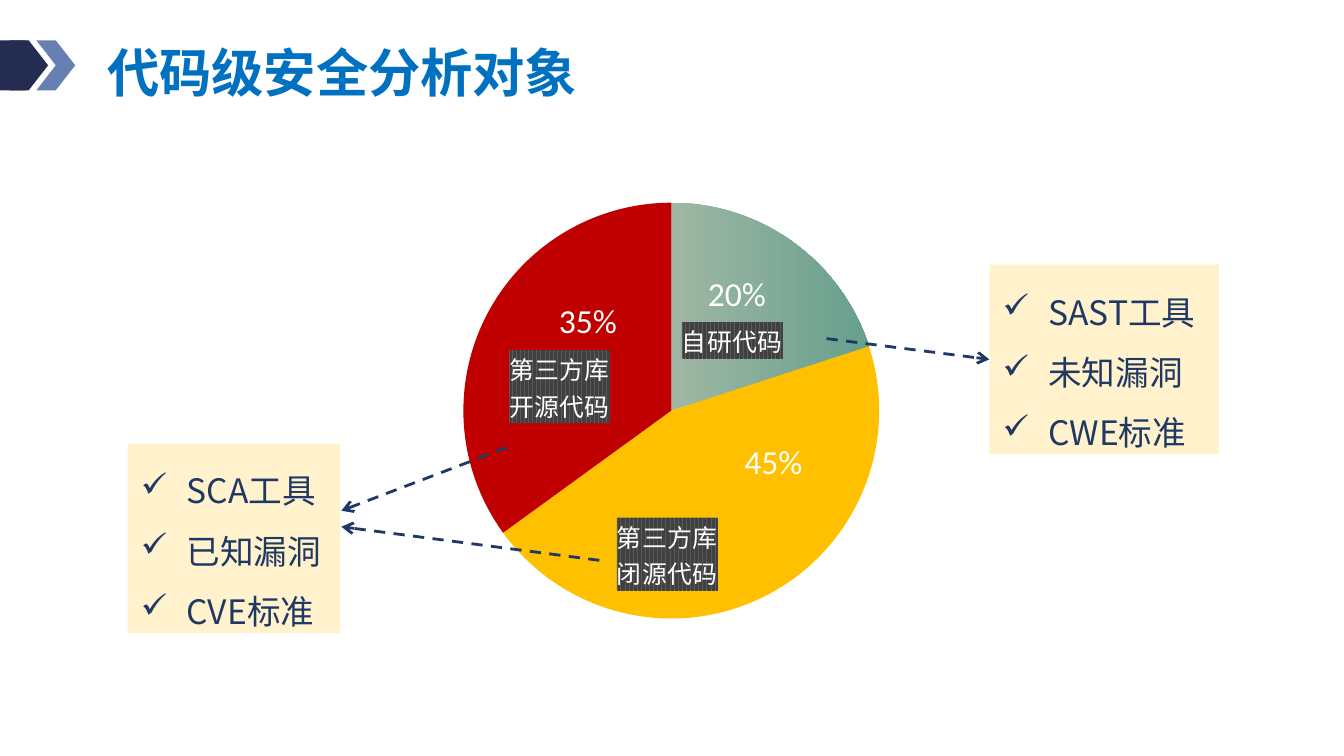
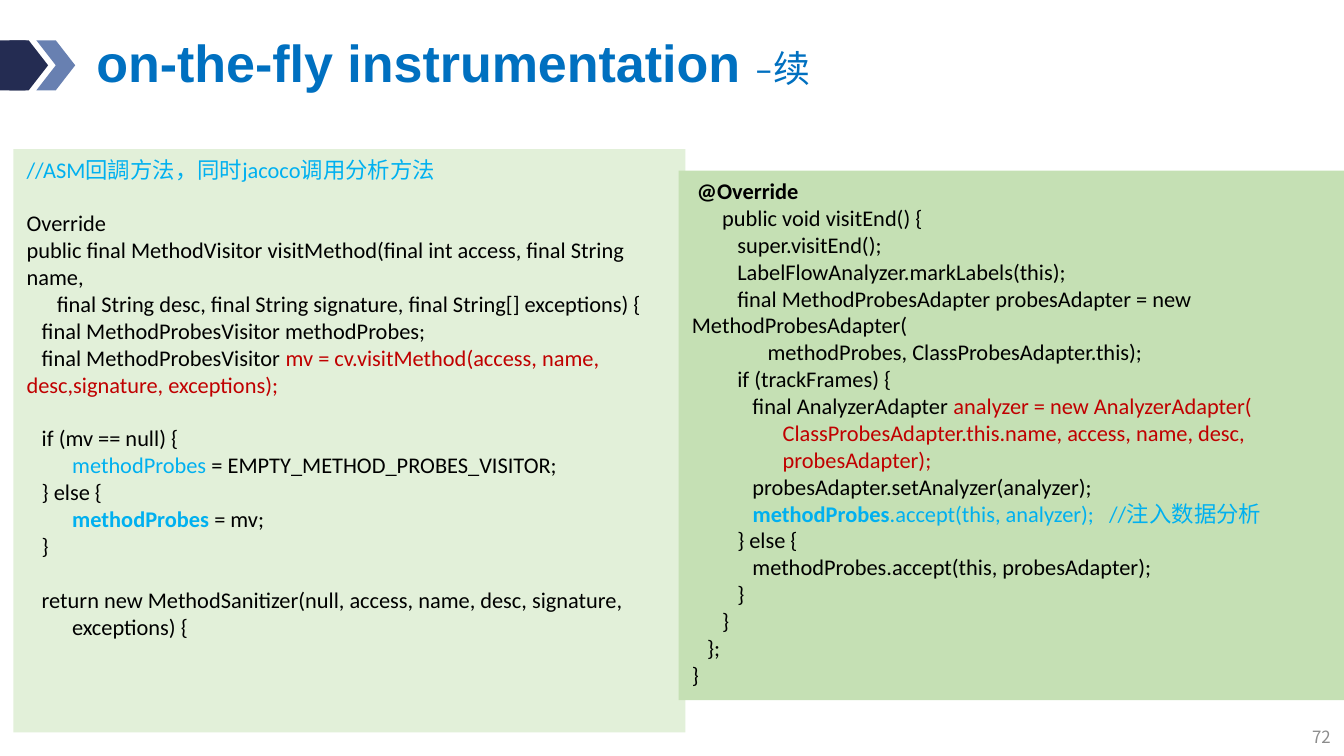
from dataclasses import dataclass

from lxml.etree import SubElement
from pptx import Presentation
from pptx.chart.data import CategoryChartData
from pptx.dml.color import RGBColor
from pptx.enum.chart import XL_CHART_TYPE, XL_LABEL_POSITION
from pptx.enum.dml import MSO_LINE
from pptx.enum.shapes import MSO_CONNECTOR, MSO_SHAPE
from pptx.enum.text import MSO_ANCHOR, PP_ALIGN
from pptx.oxml import parse_xml
from pptx.oxml.ns import nsdecls, qn
from pptx.util import Pt

NAVY, STEEL, TITLE_BLUE, INK = "242C52", "6880B1", "0070C0", "203864"
WHITE, BLACK, GREY, CREAM = "FFFFFF", "000000", "8C8C8C", "FFF2CC"
RED, CYAN, YELLOW = "C00000", "00B0F0", "FFC000"
LIGHT_GREEN, MID_GREEN = "E2F0D9", "C5E0B4"
CJK, LATIN, HEADING = "Noto Sans CJK SC", "Calibri", "Arial"
CODE_LINE = 14.4
ANALYSIS_TITLE = "代码级安全分析对象"


@dataclass(frozen=True)
class Area:
    left: float
    top: float
    width: float
    height: float

    def lengths(self) -> tuple:
        return Pt(self.left), Pt(self.top), Pt(self.width), Pt(self.height)


@dataclass(frozen=True)
class Span:
    text: str
    color: str = BLACK
    bold: bool = False
    size: float = 12
    font: str = LATIN


@dataclass(frozen=True)
class Line:
    spans: tuple
    gap: float = 0


@dataclass(frozen=True)
class Slice:
    label: tuple
    value: int
    shift: tuple
    percent_at: tuple
    color: str = ""


@dataclass(frozen=True)
class Arrow:
    start: tuple
    end: tuple


def rgb(color: str) -> RGBColor:
    return RGBColor.from_string(color)


def add_span(para, span: Span) -> None:
    run = para.add_run()
    run.text = span.text
    run.font.name = span.font
    run.font.size = Pt(span.size)
    run.font.bold = span.bold
    run.font.color.rgb = rgb(span.color)
    SubElement(run.font._element, qn("a:ea"), typeface=CJK)


def write(box, lines, anchor=MSO_ANCHOR.TOP, align=PP_ALIGN.LEFT,
          spacing: float = 1.0, bullet: str = "") -> None:
    frame = box.text_frame
    frame.word_wrap = True
    frame.vertical_anchor = anchor
    for index, line in enumerate(lines):
        para = frame.add_paragraph() if index else frame.paragraphs[0]
        para.alignment = align
        para.line_spacing = spacing
        if line.gap:
            para.space_before = Pt(line.gap)
        if bullet:
            properties = para._p.get_or_add_pPr()
            properties.set("marL", str(Pt(24.5)))
            properties.set("indent", str(-Pt(24.5)))
            SubElement(properties, qn("a:buChar"), char=bullet)
        for span in line.spans:
            add_span(para, span)


def add_block(page, kind, area: Area, color: str):
    block = page.shapes.add_shape(kind, *area.lengths())
    block.shadow.inherit = False
    block.fill.solid()
    block.fill.fore_color.rgb = rgb(color)
    block.line.fill.background()
    return block


def add_text(page, area: Area, spans, **options) -> None:
    write(page.shapes.add_textbox(*area.lengths()), [Line(spans)], **options)


def add_page(deck, title_area: Area, title):
    """Add a blank page with the shared corner marker and title style."""
    page = deck.slides.add_slide(deck.slide_layouts[6])
    bar = add_block(page, MSO_SHAPE.ROUNDED_RECTANGLE, Area(-9.4, 21.6, 25.2, 26.8), NAVY)
    bar.adjustments[0] = 0.1
    for left, color in ((19.5, STEEL), (5, NAVY)):
        add_block(page, MSO_SHAPE.CHEVRON, Area(left, 21.6, 20.8, 26.8), color)
    add_text(page, title_area, title, anchor=MSO_ANCHOR.MIDDLE, spacing=0.9)
    return page


def add_checklist(page, area: Area, items):
    box = add_block(page, MSO_SHAPE.RECTANGLE, area, CREAM)
    lines = [Line((Span(item, INK, size=18, font=CJK),)) for item in items]
    write(box, lines, spacing=1.5, bullet="✓")
    return box


def add_arrow(page, arrow: Arrow):
    connector = page.shapes.add_connector(
        MSO_CONNECTOR.STRAIGHT, *(Pt(value) for value in arrow.start + arrow.end))
    connector.line.color.rgb = rgb(INK)
    connector.line.width = Pt(1.5)
    connector.line.dash_style = MSO_LINE.DASH
    SubElement(connector.line._get_or_add_ln(), qn("a:tailEnd"), type="arrow")
    SubElement(connector._element.spPr, qn("a:effectLst"))
    return connector


def label_slice(point, part: Slice) -> None:
    """Write the slice's own label on a striped dark ground, moved off its centre."""
    label = point.data_label
    frame = label.text_frame
    for index, text in enumerate(part.label):
        para = frame.add_paragraph() if index else frame.paragraphs[0]
        add_span(para, Span(text, WHITE, size=13.3))
    label.position = XL_LABEL_POSITION.CENTER
    element = label._get_or_add_dLbl()
    rich_text = element.find(qn("c:tx"))
    x, y = part.shift
    rich_text.addprevious(parse_xml(
        f'<c:layout {nsdecls("c")}><c:manualLayout>'
        f'<c:x val="{x}"/><c:y val="{y}"/></c:manualLayout></c:layout>'))
    rich_text.addnext(parse_xml(
        f'<c:spPr {nsdecls("c", "a")}><a:pattFill prst="dkVert">'
        '<a:fgClr><a:srgbClr val="404040"/></a:fgClr>'
        '<a:bgClr><a:srgbClr val="595959"/></a:bgClr></a:pattFill></c:spPr>'))


def add_pie(page, area: Area, parts) -> None:
    data = CategoryChartData(number_format="General")
    data.categories = ["".join(part.label) for part in parts]
    data.add_series(ANALYSIS_TITLE, [part.value for part in parts])
    chart = page.shapes.add_chart(XL_CHART_TYPE.PIE, *area.lengths(), data).chart
    chart.has_legend = False
    chart.has_title = False
    chart.font.name = LATIN
    chart.font.size = Pt(10)
    chart.font.color.rgb = rgb(BLACK)
    plot = chart.plots[0]
    plot.vary_by_categories = True
    plot_area = chart._chartSpace.chart.plotArea
    for layout in plot_area.findall(qn("c:layout")):
        plot_area.remove(layout)
    plot_area.insert(0, parse_xml(
        f'<c:layout {nsdecls("c")}><c:manualLayout><c:layoutTarget val="inner"/>'
        '<c:xMode val="edge"/><c:yMode val="edge"/><c:x val="0.17"/><c:y val="0"/>'
        '<c:w val="0.65"/><c:h val="0.92"/></c:manualLayout></c:layout>'))
    for index, part in enumerate(parts):
        point = plot.series[0].points[index]
        fill = point.format.fill
        if part.color:
            fill.solid()
            fill.fore_color.rgb = rgb(part.color)
        else:
            fill.gradient()
            fill.gradient_angle = 0
            stops = zip(fill.gradient_stops, ((0, "A0B7A5"), (0.94, "6AA18E")))
            for stop, (position, color) in stops:
                stop.position = position
                stop.color.rgb = rgb(color)
        label_slice(point, part)


def build_analysis_page(deck) -> None:
    page = add_page(deck, Area(50.4, 20.2, 540.7, 41),
                    (Span(ANALYSIS_TITLE, TITLE_BLUE, True, 28, CJK),))
    parts = (
        Slice(("自研代码",), 20, (0, 0.03), (372.2, 142.6)),
        Slice(("第三方库", "闭源代码"), 45, (-0.08, 0.11), (391.7, 232.6), YELLOW),
        Slice(("第三方库", "开源代码"), 35, (-0.03, 0.05), (292.3, 157), RED),
    )
    add_pie(page, Area(190, 105.8, 342.7, 248.4), parts)
    for part in parts:
        add_text(page, Area(*part.percent_at, 50.4, 28.8),
                 (Span(f"{part.value}%", WHITE, size=18),))
    own_code = add_checklist(page, Area(530, 141.8, 123, 101.5),
                             ("SAST工具", "未知漏洞", "CWE标准"))
    add_checklist(page, Area(68.4, 237.6, 113.8, 101.5),
                  ("SCA工具", "已知漏洞", "CVE标准"))
    to_own_code = add_arrow(page, Arrow((442.8, 181.4), (530, 192.6)))
    to_own_code.end_connect(own_code, 1)
    for arrow in (Arrow((271.4, 239.8), (182.9, 273.6)),
                  Arrow((321.1, 300.2), (182.9, 282.2))):
        add_arrow(page, arrow)


def code(*spans, gap: float = 0) -> Line:
    """Make a code line; plain strings become black spans."""
    return Line(tuple(Span(span) if isinstance(span, str) else span for span in spans), gap)


VISIT_METHOD = (
    code(Span("//ASM回調方法，同时jacoco调用分析方法", CYAN)),
    code("Override", gap=CODE_LINE),
    code("public final MethodVisitor visitMethod(final int access, final String name,"),
    code("      final String desc, final String signature, final String[] exceptions) {"),
    code("   final MethodProbesVisitor methodProbes;"),
    code("   final MethodProbesVisitor ",
         Span("mv = cv.visitMethod(access, name, desc,signature, exceptions);", RED)),
    code("   if (mv == null) {", gap=CODE_LINE),
    code("         ", Span("methodProbes", CYAN), " = EMPTY_METHOD_PROBES_VISITOR;"),
    code("   } else {"),
    code("         ", Span("methodProbes", CYAN, True), " = mv;"),
    code("   }"),
    code("   return new MethodSanitizer(null, access, name, desc, signature,", gap=CODE_LINE),
    code("         exceptions) {"),
)
VISIT_END = (
    code(Span(" @Override", bold=True)),
    code("      public void visitEnd() {"),
    code("         super.visitEnd();"),
    code("         LabelFlowAnalyzer.markLabels(this);"),
    code("         final MethodProbesAdapter probesAdapter = new MethodProbesAdapter("),
    code("               methodProbes, ClassProbesAdapter.this);"),
    code("         if (trackFrames) {"),
    code("            final AnalyzerAdapter ", Span("analyzer = new AnalyzerAdapter(", RED)),
    code(Span("                  ClassProbesAdapter.this.name, access, name, desc,", RED)),
    code(Span("                  probesAdapter);", RED)),
    code("            probesAdapter.setAnalyzer(analyzer);"),
    code("            ", Span("methodProbes", CYAN, True),
         Span(".accept(this, analyzer);   //注入数据分析", CYAN)),
    code("         } else {"),
    code("            methodProbes.accept(this, probesAdapter);"),
    code("         }"),
    code("      }"),
    code("   };"),
    code("}"),
)


def build_instrumentation_page(deck) -> None:
    page = add_page(deck, Area(44.6, 13.7, 446.4, 43.2), (
        Span("on-the-fly instrumentation ", TITLE_BLUE, True, 27.9, HEADING),
        Span("–续", TITLE_BLUE, size=19.8)))
    add_text(page, Area(0, 386.6, 720, 15.8), (Span("72", GREY, size=9, font=CJK),),
             anchor=MSO_ANCHOR.MIDDLE, align=PP_ALIGN.RIGHT)
    for area, color, lines in (
            (Area(7.2, 79.9, 360, 312.5), LIGHT_GREEN, VISIT_METHOD),
            (Area(363.6, 91.4, 360, 283.7), MID_GREEN, VISIT_END)):
        write(add_block(page, MSO_SHAPE.RECTANGLE, area, color), lines)


def main() -> None:
    deck = Presentation()
    deck.slide_width, deck.slide_height = Pt(720), Pt(405)
    build_analysis_page(deck)
    build_instrumentation_page(deck)
    deck.save("out.pptx")


if __name__ == "__main__":
    main()
